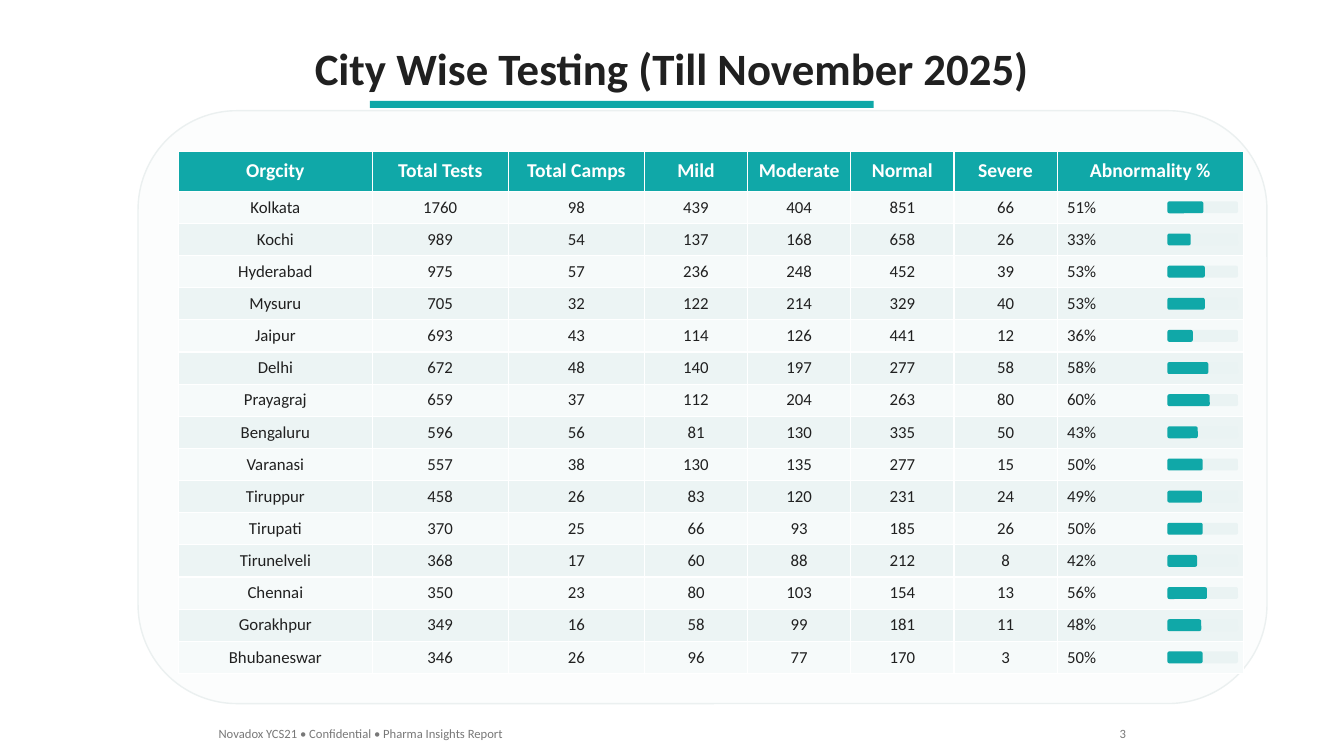
from dataclasses import dataclass
from typing import Optional

from pptx import Presentation
from pptx.dml.color import RGBColor
from pptx.enum.shapes import MSO_SHAPE as Shape
from pptx.enum.text import MSO_ANCHOR as Anchor, MSO_AUTO_SIZE as AutoSize, PP_ALIGN as Align
from pptx.slide import Slide
from pptx.text.text import _Paragraph as Paragraph
from pptx.util import Cm, Pt

FONT = "Calibri"
COLORS = {
    "teal": "10A8A8",
    "ink": "202020",
    "white": "FFFFFF",
    "panel": "FCFDFD",
    "panel_line": "EBF0F0",
    "odd_row": "F6FAFA",
    "even_row": "ECF4F4",
    "track": "EAF3F3",
    "footer": "787878",
}

TABLE_LEFT, TABLE_TOP = 4.5, 3.81
HEADER_HEIGHT, ROW_HEIGHT = 1.01, 0.81
BAR_LEFT, BAR_WIDTH, BAR_HEIGHT = 29.42, 1.78, 0.3


@dataclass
class Box:
    left: float
    top: float
    width: float
    height: float


@dataclass
class Label:
    text: str
    box: Box
    size: int
    color: str
    align: Align
    bold: bool = False


@dataclass
class Column:
    heading: str
    width: float
    align: Align = Align.CENTER


@dataclass
class City:
    name: str
    tests: int
    camps: int
    mild: int
    moderate: int
    normal: int
    severe: int
    abnormality: int

    def cells(self) -> list[str]:
        counts = (self.tests, self.camps, self.mild, self.moderate, self.normal, self.severe)
        return [self.name, *map(str, counts), f"{self.abnormality}%"]


COLUMNS = [
    Column("Orgcity", 4.88),
    Column("Total Tests", 3.43),
    Column("Total Camps", 3.43),
    Column("Mild", 2.6),
    Column("Moderate", 2.6),
    Column("Normal", 2.6),
    Column("Severe", 2.6),
    Column("Abnormality %", 4.7, Align.LEFT),
]

CITIES = [
    City("Kolkata", 1760, 98, 439, 404, 851, 66, 51),
    City("Kochi", 989, 54, 137, 168, 658, 26, 33),
    City("Hyderabad", 975, 57, 236, 248, 452, 39, 53),
    City("Mysuru", 705, 32, 122, 214, 329, 40, 53),
    City("Jaipur", 693, 43, 114, 126, 441, 12, 36),
    City("Delhi", 672, 48, 140, 197, 277, 58, 58),
    City("Prayagraj", 659, 37, 112, 204, 263, 80, 60),
    City("Bengaluru", 596, 56, 81, 130, 335, 50, 43),
    City("Varanasi", 557, 38, 130, 135, 277, 15, 50),
    City("Tiruppur", 458, 26, 83, 120, 231, 24, 49),
    City("Tirupati", 370, 25, 66, 93, 185, 26, 50),
    City("Tirunelveli", 368, 17, 60, 88, 212, 8, 42),
    City("Chennai", 350, 23, 80, 103, 154, 13, 56),
    City("Gorakhpur", 349, 16, 58, 99, 181, 11, 48),
    City("Bhubaneswar", 346, 26, 96, 77, 170, 3, 50),
]

TITLE = Label("City Wise Testing (Till November 2025)", Box(7.59, 0.89, 18.69, 1.63),
              32, "ink", Align.CENTER, True)
FOOTERS = [
    Label("Novadox YCS21 • Confidential • Pharma Insights Report", Box(5.26, 18.16, 7.75, 0.64),
          9, "footer", Align.LEFT),
    Label("3", Box(27.94, 18.16, 0.69, 0.64), 9, "footer", Align.RIGHT),
]


def color(name: str) -> RGBColor:
    return RGBColor.from_string(COLORS[name])


def style_paragraph(paragraph: Paragraph, size: int, ink: str, align: Align, bold: bool) -> None:
    paragraph.alignment = align
    paragraph.font.name = FONT
    paragraph.font.size = Pt(size)
    paragraph.font.bold = bold
    paragraph.font.color.rgb = color(ink)


def add_label(slide: Slide, label: Label) -> None:
    box = label.box
    shape = slide.shapes.add_textbox(Cm(box.left), Cm(box.top), Cm(box.width), Cm(box.height))
    frame = shape.text_frame
    frame.word_wrap = False
    frame.auto_size = AutoSize.SHAPE_TO_FIT_TEXT
    frame.text = label.text
    style_paragraph(frame.paragraphs[0], label.size, label.color, label.align, label.bold)


def add_block(slide: Slide, kind: Shape, box: Box, fill: str, line: Optional[str] = None) -> None:
    shape = slide.shapes.add_shape(kind, Cm(box.left), Cm(box.top), Cm(box.width), Cm(box.height))
    shape.shadow.inherit = False
    shape.fill.solid()
    shape.fill.fore_color.rgb = color(fill)
    if line:
        shape.line.color.rgb = color(line)
        shape.line.width = Pt(1)
    else:
        shape.line.fill.background()


def add_city_table(slide: Slide) -> None:
    width = sum(column.width for column in COLUMNS)
    height = HEADER_HEIGHT + ROW_HEIGHT * len(CITIES)
    table = slide.shapes.add_table(len(CITIES) + 1, len(COLUMNS), Cm(TABLE_LEFT), Cm(TABLE_TOP),
                                   Cm(width), Cm(height)).table
    for index, column in enumerate(COLUMNS):
        table.columns[index].width = Cm(column.width)

    rows = [[column.heading for column in COLUMNS], *(city.cells() for city in CITIES)]
    for row_index, texts in enumerate(rows):
        header = row_index == 0
        table.rows[row_index].height = Cm(HEADER_HEIGHT if header else ROW_HEIGHT)
        fill = "teal" if header else "odd_row" if row_index % 2 else "even_row"
        for column_index, text in enumerate(texts):
            cell = table.cell(row_index, column_index)
            cell.text = text
            cell.vertical_anchor = Anchor.MIDDLE
            cell.fill.solid()
            cell.fill.fore_color.rgb = color(fill)
            align = Align.CENTER if header else COLUMNS[column_index].align
            style_paragraph(cell.text_frame.paragraphs[0], 14 if header else 12,
                            "white" if header else "ink", align, header)


def add_abnormality_bars(slide: Slide) -> None:
    first_top = TABLE_TOP + HEADER_HEIGHT + (ROW_HEIGHT - BAR_HEIGHT) / 2
    for index, city in enumerate(CITIES):
        top = first_top + index * ROW_HEIGHT
        for share, fill in ((100, "track"), (city.abnormality, "teal")):
            box = Box(BAR_LEFT, top, BAR_WIDTH * share / 100, BAR_HEIGHT)
            add_block(slide, Shape.ROUNDED_RECTANGLE, box, fill)


def main() -> None:
    presentation = Presentation()
    presentation.slide_width = Cm(33.87)
    presentation.slide_height = Cm(19.05)
    slide = presentation.slides.add_slide(presentation.slide_layouts[6])

    add_label(slide, TITLE)
    add_block(slide, Shape.RECTANGLE, Box(9.32, 2.54, 12.7, 0.18), "teal")
    add_block(slide, Shape.ROUNDED_RECTANGLE, Box(3.48, 2.79, 28.45, 14.94), "panel", "panel_line")
    add_city_table(slide)
    add_abnormality_bars(slide)
    for footer in FOOTERS:
        add_label(slide, footer)

    presentation.save("out.pptx")


if __name__ == "__main__":
    main()
